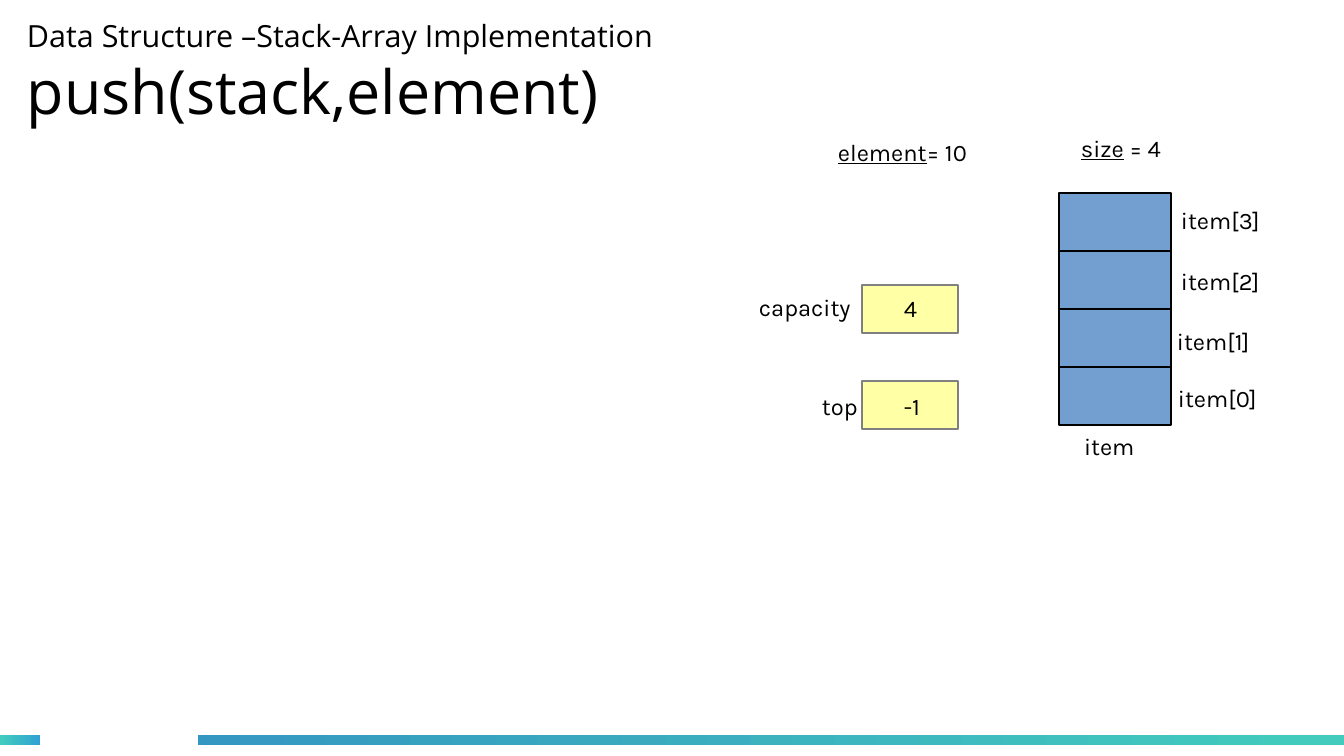
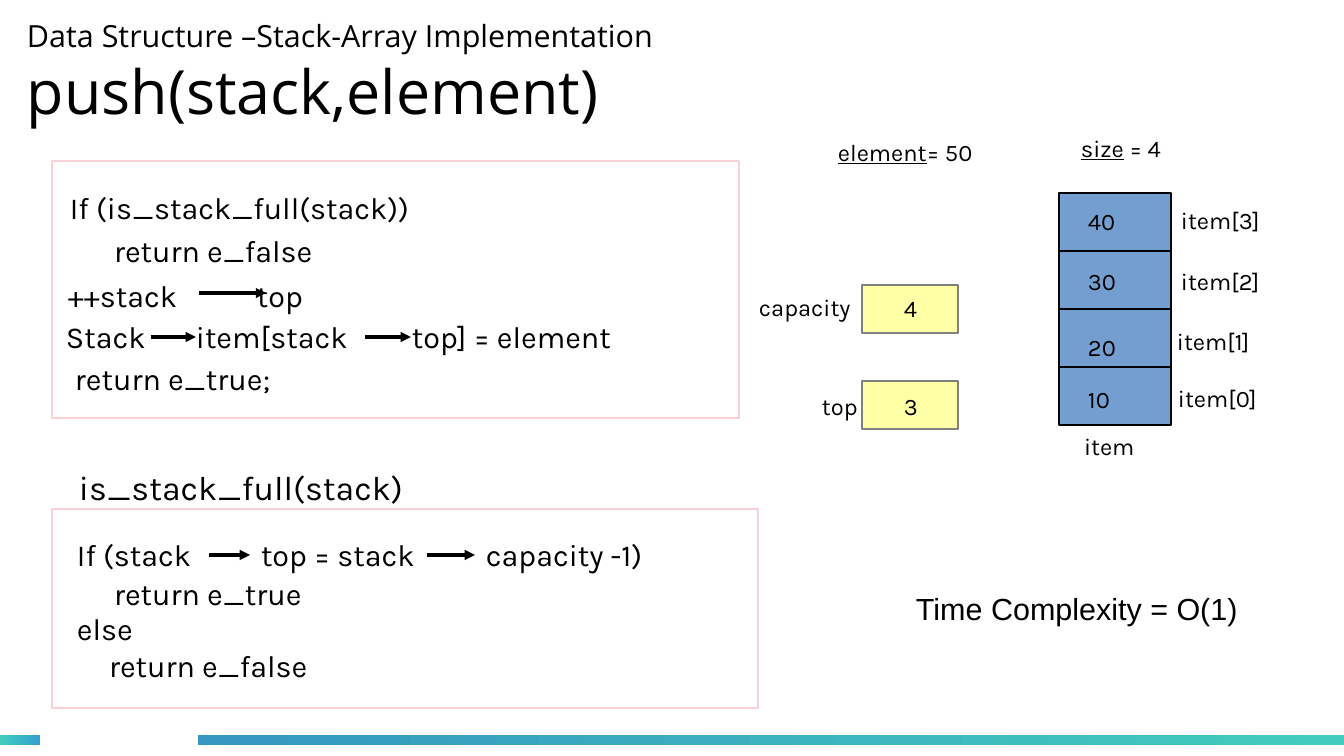
from dataclasses import dataclass
from typing import NamedTuple

from lxml import etree
from pptx import Presentation
from pptx.dml.color import RGBColor
from pptx.enum.shapes import MSO_CONNECTOR, MSO_SHAPE, PP_PLACEHOLDER
from pptx.enum.text import MSO_ANCHOR, MSO_AUTO_SIZE, PP_ALIGN
from pptx.oxml.ns import qn
from pptx.util import Emu, Pt

RECTANGLE = MSO_SHAPE.RECTANGLE
STRAIGHT = MSO_CONNECTOR.STRAIGHT
TITLE = PP_PLACEHOLDER.TITLE
MIDDLE = MSO_ANCHOR.MIDDLE
LEFT = PP_ALIGN.LEFT
FIT_SHAPE = MSO_AUTO_SIZE.SHAPE_TO_FIT_TEXT
FIXED = MSO_AUTO_SIZE.NONE

PIXELS_PER_INCH = 122
TITLE_LAYOUT = 5


@dataclass(frozen=True)
class Theme:
    ink: str = "000000"
    white: str = "FFFFFF"
    teal: str = "43CCBD"
    sky: str = "30A2D2"
    ocean: str = "3497C1"
    value_fill: str = "FFFFA6"
    value_line: str = "808080"
    cell_fill: str = "729FCF"
    panel_line: str = "F7D1D5"
    title_font: str = "Open Sans"
    body_font: str = "Karla"
    note_font: str = "Arial"
    label_size: int = 14
    code_size: int = 18
    heading_size: int = 20
    topic_size: int = 18
    title_size: int = 36
    hairline: int = 0


THEME = Theme()


class Box(NamedTuple):
    left: int
    top: int
    width: int
    height: int


class Band(NamedTuple):
    box: Box
    start: str
    end: str


class Label(NamedTuple):
    text: str
    box: Box
    underlined: str = ""


class StackCell(NamedTuple):
    label: str
    label_left: int
    label_top: int
    value_top: int


class CodeLine(NamedTuple):
    text: str
    left: int
    top: int
    width: int
    tabs: tuple[int, ...] = ()


class Arrow(NamedTuple):
    start: int
    end: int
    y: int


@dataclass(frozen=True)
class StackState:
    element: str
    top: str
    values: tuple[str, ...] = ()


BANDS = (
    Band(Box(0, 735, 40, 10), THEME.teal, THEME.sky),
    Band(Box(198, 735, 1146, 10), THEME.ocean, THEME.teal),
)
TITLE_BOX = Box(27, 10, 1222, 124)
VALUE_BOXES = (Box(862, 285, 96, 48), Box(862, 381, 96, 48))
STACK_BOX = Box(1059, 193, 112, 58)
CELLS = (
    StackCell("item[3]", 1169, 200, 201),
    StackCell("item[2]", 1169, 261, 261),
    StackCell("item[1]", 1165, 321, 327),
    StackCell("item[0]", 1166, 378, 379),
)
STATIC_LABELS = (
    Label("capacity", Box(747, 287, 134, 46)),
    Label("4", Box(892, 288, 48, 44)),
    Label("top", Box(810, 386, 87, 46)),
    Label("item", Box(1072, 426, 82, 44)),
    Label(" = 4", Box(1069, 128, 159, 46), "size"),
)
PANELS = (Box(52, 161, 687, 257), Box(52, 509, 706, 199))
CODE_LINES = (
    CodeLine("If (is_stack_full(stack))", 58, 183, 390),
    CodeLine("return e_false", 102, 226, 240),
    CodeLine("++stack\ttop", 56, 271, 356, (189,)),
    CodeLine("Stack\titem[stack\ttop] = element", 54, 312, 644, (130, 346)),
    CodeLine("return e_true;", 63, 354, 303),
    CodeLine("If (stack\ttop = stack\tcapacity -1)", 65, 530, 682, (184, 409)),
    CodeLine("return e_true", 102, 569, 240),
    CodeLine("else", 65, 604, 100),
    CodeLine("return e_false", 97, 641, 240),
)
ARROWS = (
    Arrow(199, 266, 293),
    Arrow(151, 196, 337),
    Arrow(365, 411, 337),
    Arrow(209, 250, 555),
    Arrow(427, 475, 555),
)
STATES = (
    StackState("10", "-1"),
    StackState("50", "3", ("40", "30", "20", "10")),
)


def px(value: int) -> Emu:
    return Emu(round(value * 914400 / PIXELS_PER_INCH))


def color(value: str) -> RGBColor:
    return RGBColor.from_string(value)


def add_run(paragraph, text: str, *, font: str = THEME.body_font,
            size: int = THEME.label_size, underline: bool = False) -> None:
    run = paragraph.add_run()
    run.text = text
    run.font.name = font
    run.font.size = Pt(size)
    run.font.color.rgb = color(THEME.ink)
    if underline:
        run.font.underline = True


def add_tabs(paragraph, stops: tuple[int, ...]) -> None:
    properties = paragraph._p.get_or_add_pPr()
    tab_list = etree.SubElement(properties, qn("a:tabLst"))
    for stop in stops:
        etree.SubElement(tab_list, qn("a:tab"), pos=str(px(stop)), algn="l")


def add_text(slide, box: Box, text: str, *, underlined: str = "",
             tabs: tuple[int, ...] = (), font: str = THEME.body_font,
             size: int = THEME.label_size) -> None:
    frame = slide.shapes.add_textbox(*map(px, box)).text_frame
    frame.word_wrap = True
    frame.auto_size = FIT_SHAPE
    paragraph = frame.paragraphs[0]
    if tabs:
        add_tabs(paragraph, tabs)
    if underlined:
        add_run(paragraph, underlined, font=font, size=size, underline=True)
    add_run(paragraph, text, font=font, size=size)


def add_rectangle(slide, box: Box, fill: str, line: str):
    shape = slide.shapes.add_shape(RECTANGLE, *map(px, box))
    shape.shadow.inherit = False
    shape.fill.solid()
    shape.fill.fore_color.rgb = color(fill)
    shape.line.color.rgb = color(line)
    shape.line.width = Pt(THEME.hairline)
    return shape


def add_arrow(slide, arrow: Arrow) -> None:
    connector = slide.shapes.add_connector(
        STRAIGHT, px(arrow.start), px(arrow.y), px(arrow.end), px(arrow.y))
    connector.line.color.rgb = color(THEME.ink)
    connector.line.width = Pt(THEME.hairline)
    line = connector.line._get_or_add_ln()
    etree.SubElement(line, qn("a:tailEnd"), type="triangle")
    etree.SubElement(connector.element.spPr, qn("a:effectLst"))


def prepare_layout(presentation):
    layout = presentation.slide_layouts[TITLE_LAYOUT]
    tree = layout.element.cSld.spTree
    for placeholder in list(layout.placeholders):
        if placeholder.placeholder_format.type == TITLE:
            placeholder.left, placeholder.top, placeholder.width, placeholder.height = map(px, TITLE_BOX)
        else:
            tree.remove(placeholder.element)
    return layout


def add_bands(slide, layout) -> None:
    for number, band in enumerate(BANDS, start=20):
        shape = add_rectangle(slide, band.box, band.start, band.start)
        shape.line.fill.background()
        shape.fill.gradient()
        shape.fill.gradient_angle = 0
        for stop, value in zip(shape.fill.gradient_stops, (band.start, band.end)):
            stop.color.rgb = color(value)
        shape.element.nvSpPr.cNvPr.set("id", str(number))
        layout.element.cSld.spTree.append(shape.element)


def fill_title(slide) -> None:
    frame = slide.shapes.title.text_frame
    frame.margin_left = frame.margin_top = frame.margin_right = frame.margin_bottom = 0
    frame.vertical_anchor = MIDDLE
    frame.auto_size = FIXED
    topic, heading = frame.paragraphs[0], frame.add_paragraph()
    for paragraph in (topic, heading):
        paragraph.alignment = LEFT
    add_run(topic, "Data Structure –Stack-Array Implementation",
            font=THEME.title_font, size=THEME.topic_size)
    add_run(heading, "push(stack,element)",
            font=THEME.title_font, size=THEME.title_size)


def draw_stack(slide, state: StackState) -> None:
    for box in VALUE_BOXES:
        add_rectangle(slide, box, THEME.value_fill, THEME.value_line)
    for index, cell in enumerate(CELLS):
        cell_box = STACK_BOX._replace(top=STACK_BOX.top + index * STACK_BOX.height)
        add_rectangle(slide, cell_box, THEME.cell_fill, THEME.ink)
        add_text(slide, Box(cell.label_left, cell.label_top, 112, 68), cell.label)
    for cell, value in zip(CELLS, state.values):
        add_text(slide, Box(1076, cell.value_top, 67, 44), value)
    state_labels = (
        Label(state.top, Box(892, 386, 67, 44)),
        Label(f"= {state.element}", Box(826, 132, 206, 44), "element"),
    )
    for label in STATIC_LABELS + state_labels:
        add_text(slide, label.box, label.text, underlined=label.underlined)


def draw_code(slide) -> None:
    for panel in PANELS:
        add_rectangle(slide, panel, THEME.white, THEME.panel_line)
    add_text(slide, Box(67, 461, 442, 58), "is_stack_full(stack)",
             size=THEME.heading_size)
    for line in CODE_LINES:
        add_text(slide, Box(line.left, line.top, line.width, 54), line.text,
                 tabs=line.tabs, size=THEME.code_size)
    for arrow in ARROWS:
        add_arrow(slide, arrow)
    add_text(slide, Box(904, 584, 360, 46), "Time Complexity = O(1)",
             font=THEME.note_font, size=THEME.code_size)


def main() -> None:
    presentation = Presentation()
    presentation.slide_width, presentation.slide_height = px(1344), px(756)
    layout = prepare_layout(presentation)
    slides = [presentation.slides.add_slide(layout) for _ in STATES]
    add_bands(slides[0], layout)
    for slide, state in zip(slides, STATES):
        fill_title(slide)
        draw_stack(slide, state)
    draw_code(slides[-1])
    presentation.save("out.pptx")


if __name__ == "__main__":
    main()
